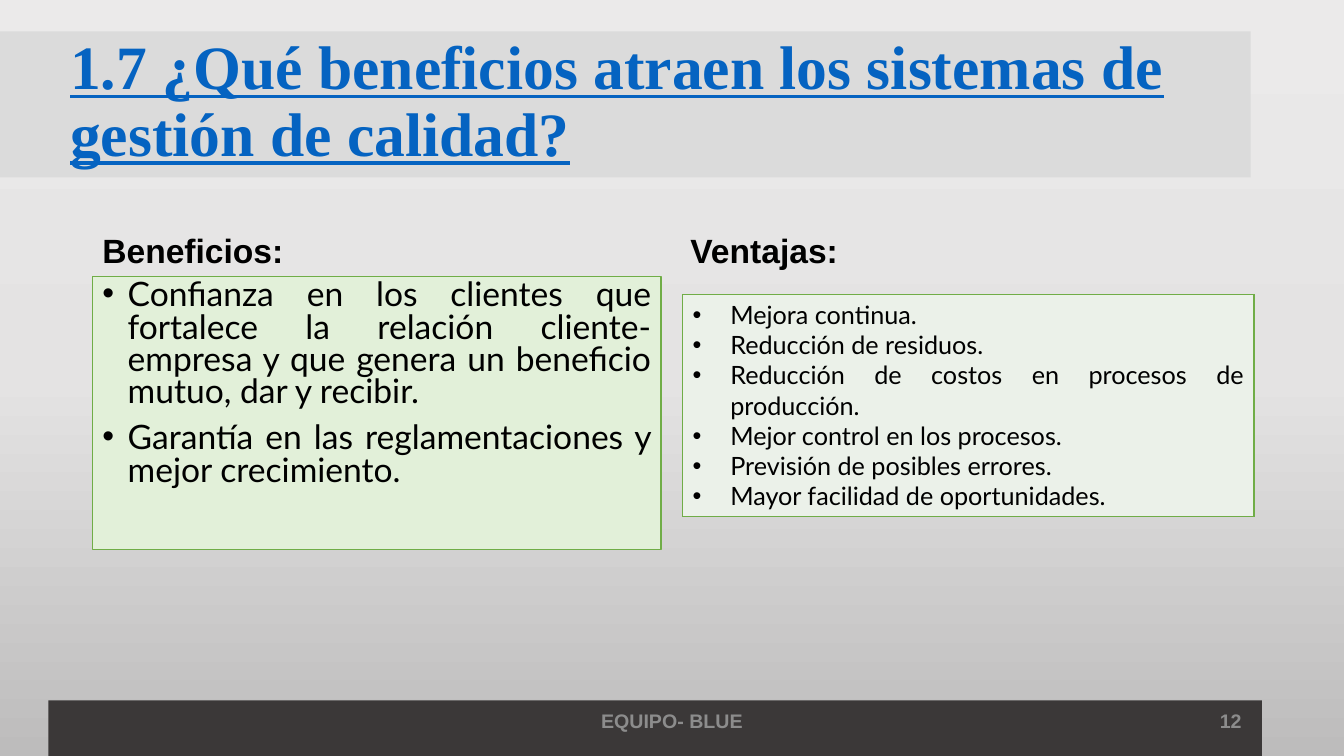
from copy import deepcopy

from lxml.etree import SubElement
from pptx import Presentation
from pptx.dml.color import RGBColor
from pptx.enum.shapes import MSO_SHAPE
from pptx.enum.text import MSO_ANCHOR, PP_ALIGN
from pptx.oxml.ns import qn
from pptx.util import Cm, Pt

COLORS = {
    "sky": "EBEAEA", "mid": "E4E3E3", "ground": "BDBCBC",
    "title_band": "DBDBDB", "footer_band": "3B3838",
    "title": "0563C1", "text": "000000", "footer": "8C8C8C",
    "benefits": "E2F0D9", "advantages": "EBF1E9", "border": "70AD47",
}
BENEFITS = [
    "Confianza en los clientes que fortalece la relación cliente-empresa "
    "y que genera un beneficio mutuo, dar y recibir.",
    "Garantía en las reglamentaciones y mejor crecimiento.",
]
ADVANTAGES = [
    "Mejora continua.",
    "Reducción de residuos.",
    "Reducción de costos en procesos de producción.",
    "Mejor control en los procesos.",
    "Previsión de posibles errores.",
    "Mayor facilidad de oportunidades.",
]


def color(name):
    return RGBColor.from_string(COLORS[name])


def set_background(page):
    fill = page.background.fill
    fill.gradient()
    fill.gradient_angle = 270
    stop_list = next(page.element.iter(qn("a:gsLst")))
    stop_list.insert(1, deepcopy(stop_list[0]))
    for stop, name, position in zip(fill.gradient_stops, ("sky", "mid", "ground"), (0, 0.5, 1)):
        stop.color.rgb = color(name)
        stop.position = position


def add_panel(page, place, fill_name, line_name=None):
    panel = page.shapes.add_shape(MSO_SHAPE.RECTANGLE, *map(Cm, place))
    panel.shadow.inherit = False
    panel.fill.solid()
    panel.fill.fore_color.rgb = color(fill_name)
    if line_name:
        panel.line.color.rgb = color(line_name)
        panel.line.width = Pt(0.75)
    else:
        panel.line.fill.background()
    return panel


def style_font(para, size, name, color_name, bold=False, underline=False):
    font = para.font
    font.size, font.name, font.bold = Pt(size), name, bold
    font.underline = underline
    font.color.rgb = color(color_name)


def add_label(page, place, text, size, color_name, anchor=MSO_ANCHOR.MIDDLE,
              align=PP_ALIGN.LEFT, spacing=1.0, font="Arial", underline=False):
    frame = page.shapes.add_textbox(*map(Cm, place)).text_frame
    frame.word_wrap = True
    frame.vertical_anchor = anchor
    para = frame.paragraphs[0]
    para.text = text
    para.alignment = align
    para.line_spacing = spacing
    style_font(para, size, font, color_name, bold=True, underline=underline)


def fill_bullets(frame, items, size, indent, spacing=1.0, gap=0):
    for index, item in enumerate(items):
        para = frame.add_paragraph() if index else frame.paragraphs[0]
        para.text = item
        para.alignment = PP_ALIGN.JUSTIFY
        para.line_spacing = spacing
        para.space_before = Pt(gap if index else 0)
        properties = para._p.get_or_add_pPr()
        properties.set("marL", str(Cm(indent)))
        properties.set("indent", str(-Cm(indent)))
        SubElement(properties, qn("a:buFont"), typeface="Arial")
        SubElement(properties, qn("a:buChar"), char="•")
        style_font(para, size, "Lato", "text")


def add_bullet_table(page, place, items):
    table = page.shapes.add_table(1, 1, *map(Cm, place)).table
    table.first_row = table.horz_banding = False
    cell = table.cell(0, 0)
    fill_bullets(cell.text_frame, items, 18, 0.95)
    # Borders come before the fill in the cell properties
    properties = cell._tc.get_or_add_tcPr()
    for side in ("a:lnL", "a:lnR", "a:lnT", "a:lnB"):
        line = SubElement(properties, qn(side), w=str(Pt(1)))
        solid = SubElement(line, qn("a:solidFill"))
        SubElement(solid, qn("a:srgbClr"), val=COLORS["border"])
    cell.fill.solid()
    cell.fill.fore_color.rgb = color("advantages")


def main():
    deck = Presentation()
    deck.slide_width, deck.slide_height = Cm(33.87), Cm(19.05)
    page = deck.slides.add_slide(deck.slide_layouts[6])

    # Background and bands
    set_background(page)
    add_panel(page, (0, 0.79, 31.52, 3.68), "title_band")
    add_panel(page, (1.22, 17.65, 30.58, 1.4), "footer_band")

    # Title
    add_label(page, (1.52, 0.76, 29.21, 3.68),
              "1.7 ¿Qué beneficios atraen los sistemas de gestión de calidad?",
              44, "title", spacing=0.9, font="Times New Roman", underline=True)

    # Column headings
    for left, heading in ((2.33, "Beneficios:"), (17.15, "Ventajas:")):
        add_label(page, (left, 4.67, 14.35, 2.29), heading, 24, "text",
                  anchor=MSO_ANCHOR.BOTTOM, spacing=0.9)

    # Benefits panel and advantages table
    benefits = add_panel(page, (2.33, 6.96, 14.33, 6.9), "benefits", "border")
    benefits.text_frame.word_wrap = True
    benefits.text_frame.vertical_anchor = MSO_ANCHOR.TOP
    fill_bullets(benefits.text_frame, BENEFITS, 24, 0.64, spacing=0.8, gap=10)
    add_bullet_table(page, (17.2, 7.42, 14.4, 5.59), ADVANTAGES)

    # Footer
    add_label(page, (11.22, 17.65, 11.43, 1.02), "EQUIPO- BLUE", 14, "footer",
              align=PP_ALIGN.CENTER)
    add_label(page, (23.92, 17.65, 7.62, 1.02), "12", 14, "footer",
              align=PP_ALIGN.RIGHT)

    deck.save("out.pptx")


if __name__ == "__main__":
    main()
